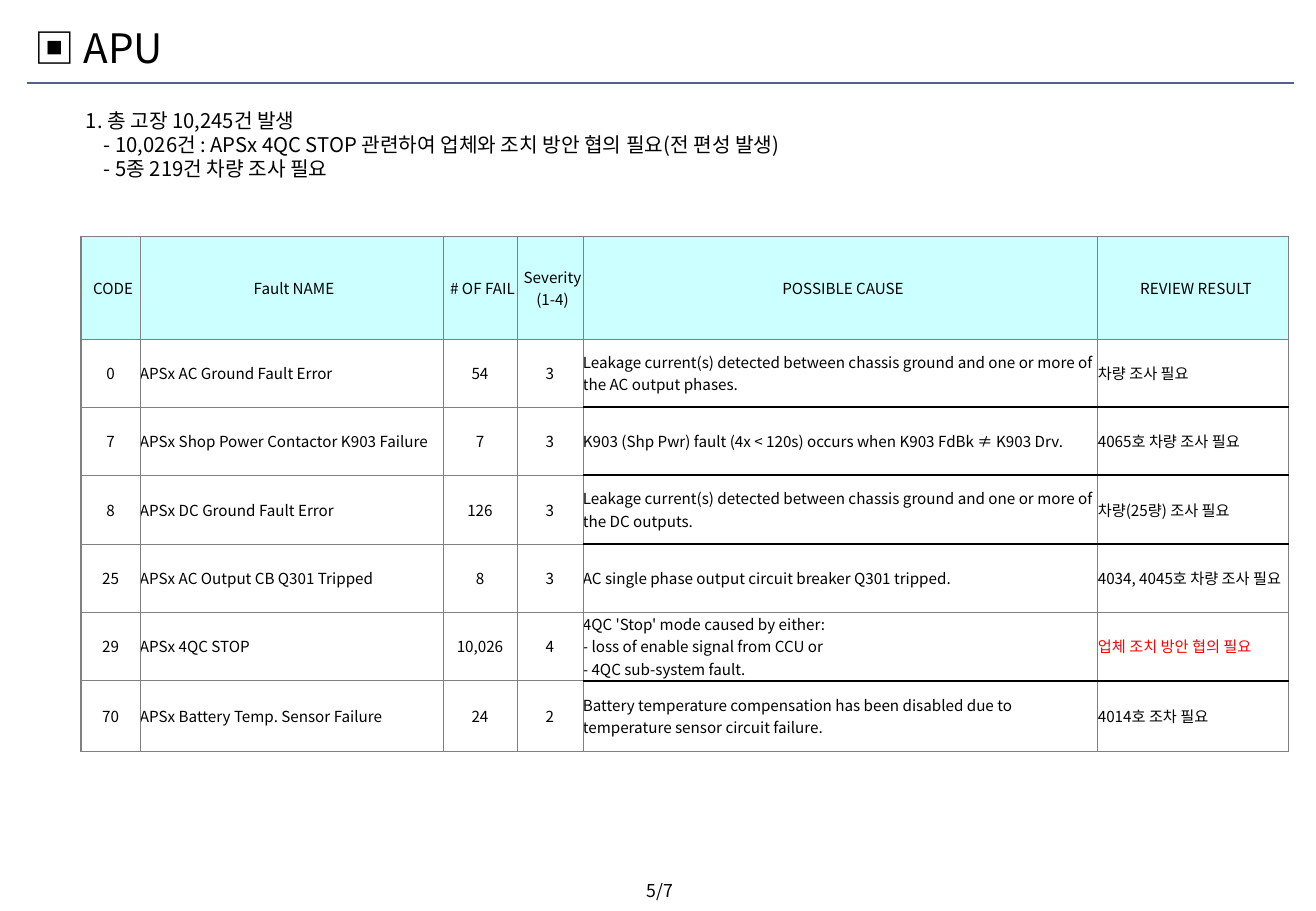
from lxml import etree
from pptx import Presentation
from pptx import util as u
from pptx.dml.color import RGBColor
from pptx.enum import shapes, text
from pptx.oxml.ns import qn

FONT = "Noto Sans CJK KR"
BLACK, GREY, RED, CYAN, NAVY = "000000", "808080", "FF0000", "CCFFFF", "516285"

TITLE = "▣ APU"
PAGE = "5/7"
SUMMARY = [
    (0, "1. 총 고장 10,245건 발생"),
    (18, "- 10,026건 : APSx 4QC STOP 관련하여 업체와 조치 방안 협의 필요(전 편성 발생)"),
    (18, "- 5종 219건 차량 조사 필요"),
]
FAULTS = [
    ("CODE", "Fault NAME", "# OF FAIL", "Severity\n(1-4)", "POSSIBLE CAUSE", "REVIEW RESULT"),
    ("0", "APSx AC Ground Fault Error", "54", "3",
     "Leakage current(s) detected between chassis ground and one or more of the AC output phases.",
     "차량 조사 필요"),
    ("7", "APSx Shop Power Contactor K903 Failure", "7", "3",
     "K903 (Shp Pwr) fault (4x < 120s) occurs when K903 FdBk ≠ K903 Drv.",
     "4065호 차량 조사 필요"),
    ("8", "APSx DC Ground Fault Error", "126", "3",
     "Leakage current(s) detected between chassis ground and one or more of the DC outputs.",
     "차량(25량) 조사 필요"),
    ("25", "APSx AC Output CB Q301 Tripped", "8", "3",
     "AC single phase output circuit breaker Q301 tripped.",
     "4034, 4045호 차량 조사 필요"),
    ("29", "APSx 4QC STOP", "10,026", "4",
     "4QC 'Stop' mode caused by either:\n- loss of enable signal from CCU or\n- 4QC sub-system fault.",
     "업체 조치 방안 협의 필요"),
    ("70", "APSx Battery Temp. Sensor Failure", "24", "2",
     "Battery temperature compensation has been disabled due to temperature sensor circuit failure.",
     "4014호 조차 필요"),
]
COL_WIDTHS = [59, 303, 74, 66, 515, 191]
ROW_HEIGHTS = [103, 68, 68, 69, 68, 69, 71]
CENTERED_COLS = {0, 2, 3}
RULED_COLS = {4, 5}
RULED_ROWS = {1, 2, 3, 5}
RED_CELL = (5, 5)


def px(n):
    return u.Emu(n * 7526)


def rgb(value):
    return RGBColor.from_string(value)


def write(p, content, size, color=BLACK, align=text.PP_ALIGN.LEFT, indent=0):
    p.alignment = align
    pPr = p._p.get_or_add_pPr()
    pPr.set("marL", str(px(indent)))
    pPr.set("indent", "0")
    for i, line in enumerate(content.split("\n")):
        if i:
            p.add_line_break()
        r = p.add_run()
        r.text = line
        r.font.size = u.Pt(size)
        r.font.color.rgb = rgb(color)
        r.font.name = FONT
        etree.SubElement(r._r.get_or_add_rPr(), qn("a:ea"), typeface=FONT)


def add_border(cell, side, color, width):
    ln = etree.SubElement(cell._tc.get_or_add_tcPr(), qn("a:ln" + side), w=str(u.Pt(width)))
    fill = etree.SubElement(ln, qn("a:solidFill"))
    etree.SubElement(fill, qn("a:srgbClr"), val=color)


def add_title(s):
    sp = s.shapes.title
    sp.left, sp.top, sp.width, sp.height = px(22), px(23), px(626), px(49)
    tf = sp.text_frame
    tf.auto_size = text.MSO_AUTO_SIZE.NONE
    tf.vertical_anchor = text.MSO_ANCHOR.MIDDLE
    write(tf.paragraphs[0], TITLE, 24)


def add_rule(s):
    line = s.shapes.add_connector(shapes.MSO_CONNECTOR.STRAIGHT, px(27), px(83), px(1294), px(83))
    line.line.color.rgb = rgb(NAVY)
    line.line.width = u.Pt(1)
    etree.SubElement(line._element.spPr, qn("a:effectLst"))


def add_summary(s):
    tf = s.shapes.add_textbox(px(74), px(102), px(1205), px(86)).text_frame
    tf.word_wrap = True
    for i, (indent, line) in enumerate(SUMMARY):
        p = tf.add_paragraph() if i else tf.paragraphs[0]
        write(p, line, 12, indent=indent)


def add_fault_table(s):
    frame = s.shapes.add_table(len(FAULTS), len(COL_WIDTHS), px(81), px(236),
                               px(sum(COL_WIDTHS)), px(sum(ROW_HEIGHTS)))
    table = frame.table
    table.first_row = table.horz_banding = False
    for column, width in zip(table.columns, COL_WIDTHS):
        column.width = px(width)
    for row, height in zip(table.rows, ROW_HEIGHTS):
        row.height = px(height)
    for r, values in enumerate(FAULTS):
        for c, value in enumerate(values):
            format_cell(table.cell(r, c), r, c, value)


def format_cell(cell, r, c, value):
    cell.margin_left = cell.margin_right = cell.margin_top = cell.margin_bottom = 0
    cell.vertical_anchor = text.MSO_ANCHOR.MIDDLE
    header = r == 0
    centered = header or c in CENTERED_COLS
    write(cell.text_frame.paragraphs[0], value, 9,
          RED if (r, c) == RED_CELL else BLACK,
          text.PP_ALIGN.CENTER if centered else text.PP_ALIGN.LEFT,
          5 if header else 0)
    add_border(cell, "L", GREY, 0.5 if c else 0.75)
    add_border(cell, "R", GREY, 0.5)
    for side, edge in (("T", r - 1), ("B", r)):
        ruled = c in RULED_COLS and edge in RULED_ROWS
        add_border(cell, side, *((BLACK, 1) if ruled else (GREY, 0.5)))
    if header:
        cell.fill.solid()
        cell.fill.fore_color.rgb = rgb(CYAN)
    else:
        cell.fill.background()


def add_page_number(s):
    tf = s.shapes.add_textbox(px(618), px(874), px(67), px(34)).text_frame
    tf.word_wrap = False
    write(tf.paragraphs[0], PAGE, 10.5, align=text.PP_ALIGN.RIGHT)


def main():
    prs = Presentation()
    prs.slide_width, prs.slide_height = px(1316), px(911)
    s = prs.slides.add_slide(prs.slide_layouts[5])
    add_title(s)
    add_rule(s)
    add_summary(s)
    add_fault_table(s)
    add_page_number(s)
    prs.save("out.pptx")


if __name__ == "__main__":
    main()
